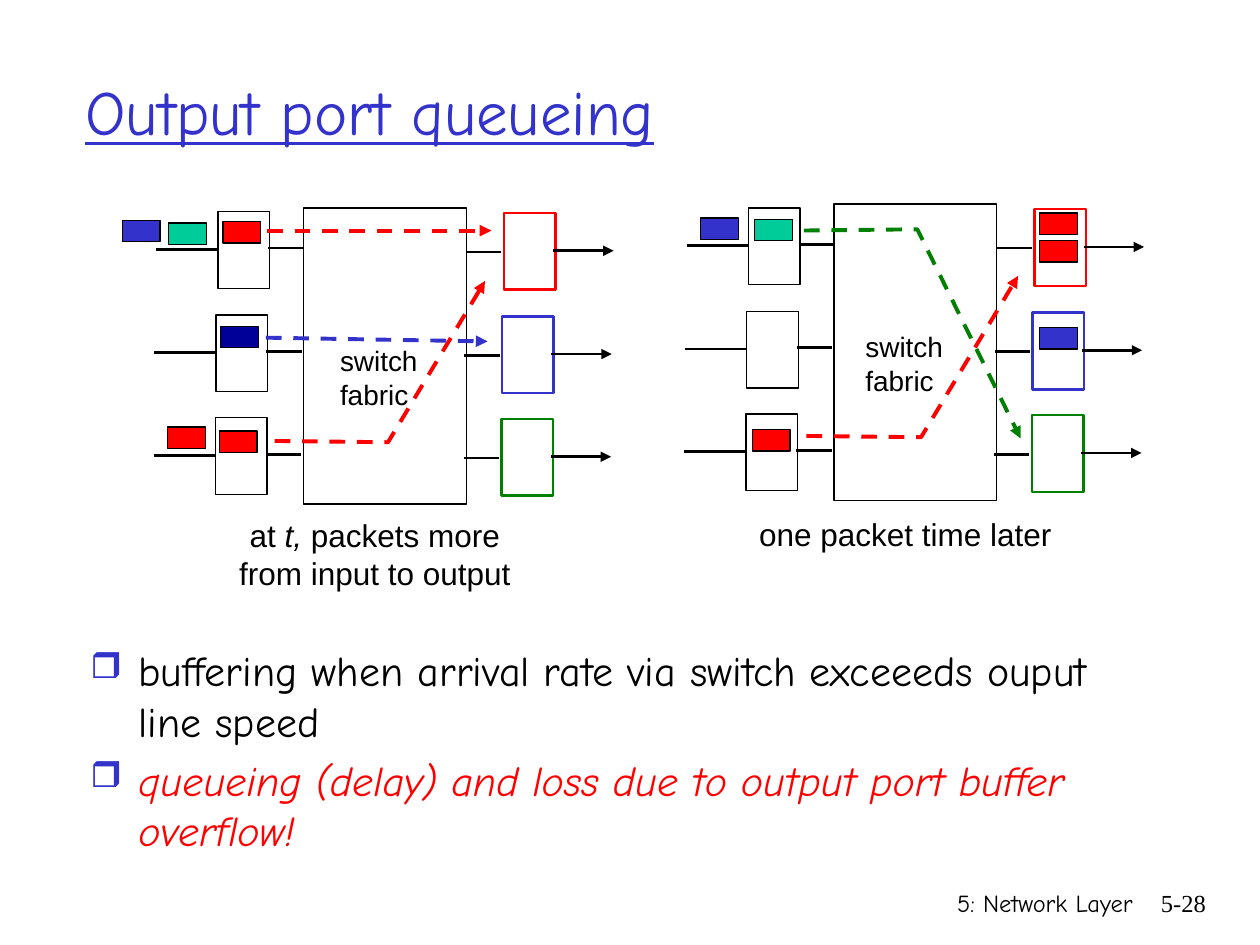
from dataclasses import dataclass

import pptx
import pptx.dml.color
import pptx.enum.dml
import pptx.enum.shapes
import pptx.enum.text
import pptx.oxml.ns
import pptx.util
from lxml import etree

ALIGN = pptx.enum.text.PP_ALIGN
Point = tuple[float, float]

# Slide grid: 100 columns by 75 rows
WIDTH, HEIGHT = pptx.util.Inches(10), pptx.util.Inches(7.5)
COLUMN, ROW = WIDTH / 100, HEIGHT / 75


@dataclass(frozen=True)
class Theme:
    black: str = "000000"
    white: str = "FFFFFF"
    blue: str = "3333CC"
    navy: str = "000099"
    red: str = "FF0000"
    green: str = "008000"
    teal: str = "00CC99"
    hand: str = "Comic Neue"
    sans: str = "Arial"
    serif: str = "Times New Roman"
    title: float = 36
    body: float = 24
    caption: float = 18
    label: float = 16
    footer: float = 14
    thin: float = 0.75
    wire: float = 1.5
    flow: float = 2.25


THEME = Theme()


@dataclass(frozen=True)
class Run:
    text: str
    italic: bool = False
    color: str = THEME.black


@dataclass(frozen=True)
class Packet:
    at: Point
    color: str


@dataclass(frozen=True)
class Flow:
    points: list[Point]
    color: str


@dataclass(frozen=True)
class Switch:
    """One switch; every place inside it is counted from the fabric's corner."""
    corner: Point
    packets: list[Packet]
    flows: list[Flow]
    label: Point
    caption: Point
    caption_rows: float
    caption_lines: list[list[Run]]


# Ports: (shift in columns, shift in rows, output colour)
PORTS = [(0, 0, THEME.red), (-0.15, 8.2, THEME.blue), (-0.2, 16.35, THEME.green)]
# Wires of the first port: (start column, end column, row, arrow)
WIRES = [(12.9, 15.7, 3.5, False), (-2.8, 0, 3.2, False),
         (-11.7, -6.8, 3.3, False), (19.8, 24.6, 3.4, True)]
FABRIC_SIZE, PORT_SIZE, PACKET_SIZE = (12.9, 23.5), (4.1, 6.1), (3, 1.7)
INPUT, OUTPUT = (-6.8, 0.3), (15.9, 0.4)

SWITCHES = [
    Switch(
        corner=(24.1, 16.5),
        packets=[Packet((-6.4, 1.1), THEME.red), Packet((-6.6, 9.4), THEME.navy),
                 Packet((-6.7, 17.7), THEME.red), Packet((-10.7, 1.2), THEME.teal),
                 Packet((-10.8, 17.4), THEME.red), Packet((-14.4, 1), THEME.blue)],
        flows=[Flow([(-2.9, 1.8), (14.9, 1.8)], THEME.red),
               Flow([(-2.3, 18.5), (6.7, 18.6), (14.4, 5.8)], THEME.red),
               Flow([(-3, 10.3), (14.6, 10.6)], THEME.blue)],
        label=(1.9, 10.3), caption=(-7.8, 24), caption_rows=7,
        caption_lines=[[Run("at "), Run("t,", italic=True), Run(" packets more")],
                       [Run("from input to output")]]),
    Switch(
        corner=(66.2, 16.2),
        packets=[Packet((16.3, 0.7), THEME.red), Packet((16.3, 9.8), THEME.blue),
                 Packet((16.3, 2.9), THEME.red), Packet((-6.3, 1.2), THEME.teal),
                 Packet((-6.5, 17.9), THEME.red), Packet((-10.6, 1.1), THEME.blue)],
        flows=[Flow([(-2.2, 18.4), (6.9, 18.5), (14.6, 5.7)], THEME.red),
               Flow([(-2.4, 2.1), (6.6, 2), (14.8, 18.6)], THEME.green)],
        label=(1.5, 9.5), caption=(-7.8, 24.2), caption_rows=4,
        caption_lines=[[Run("one packet time later")]]),
]

BULLETS = [
    [Run("buffering when arrival rate via switch exceeeds ouput line speed")],
    [Run("queueing (delay) and loss due to output port buffer overflow!",
         italic=True, color=THEME.red)],
]


def rgb(color: str) -> pptx.dml.color.RGBColor:
    return pptx.dml.color.RGBColor.from_string(color)


def emu(point: Point) -> tuple[int, int]:
    return round(point[0] * COLUMN), round(point[1] * ROW)


def shift(origin: Point, offset: Point) -> Point:
    return origin[0] + offset[0], origin[1] + offset[1]


def draw_box(slide, at: Point, size: Point, fill: str, line: str, weight: float) -> None:
    box = slide.shapes.add_shape(pptx.enum.shapes.MSO_SHAPE.RECTANGLE, *emu(at), *emu(size))
    box.shadow.inherit = False
    box.fill.solid()
    box.fill.fore_color.rgb = rgb(fill)
    box.line.color.rgb = rgb(line)
    box.line.width = pptx.util.Pt(weight)


def draw_line(slide, points: list[Point], color: str, weight: float,
              arrow: bool = False, dashed: bool = False) -> None:
    """A straight line is a connector, a bent one an open freeform."""
    start, *rest = [emu(point) for point in points]
    if len(rest) == 1:
        line = slide.shapes.add_connector(
            pptx.enum.shapes.MSO_CONNECTOR.STRAIGHT, *start, *rest[0])
    else:
        builder = slide.shapes.build_freeform(*start)
        builder.add_line_segments(rest, close=False)
        line = builder.convert_to_shape()
        line.fill.background()
    line.line.color.rgb = rgb(color)
    line.line.width = pptx.util.Pt(weight)
    if dashed:
        line.line.dash_style = pptx.enum.dml.MSO_LINE.DASH
    if arrow:
        tail = etree.SubElement(line.line._get_or_add_ln(), pptx.oxml.ns.qn("a:tailEnd"))
        tail.set("type", "triangle")
    etree.SubElement(line.element.spPr, pptx.oxml.ns.qn("a:effectLst"))


def draw_text(slide, at: Point, size: Point, lines: list[list[Run]], font: str,
              points: float, align=ALIGN.LEFT, wrap: bool = True):
    frame = slide.shapes.add_textbox(*emu(at), *emu(size)).text_frame
    frame.word_wrap = wrap
    for index, runs in enumerate(lines):
        paragraph = frame.paragraphs[0] if index == 0 else frame.add_paragraph()
        paragraph.alignment = align
        for part in runs:
            run = paragraph.add_run()
            run.text = part.text
            run.font.name, run.font.size = font, pptx.util.Pt(points)
            run.font.italic = part.italic
            run.font.color.rgb = rgb(part.color)
    return frame


def add_bullet(paragraph) -> None:
    properties = paragraph._p.get_or_add_pPr()
    indent = pptx.util.Inches(0.38)
    properties.set("marL", str(indent))
    properties.set("indent", str(-indent))
    color = etree.SubElement(properties, pptx.oxml.ns.qn("a:buClr"))
    etree.SubElement(color, pptx.oxml.ns.qn("a:srgbClr")).set("val", THEME.blue)
    etree.SubElement(properties, pptx.oxml.ns.qn("a:buSzPct")).set("val", "85000")
    etree.SubElement(properties, pptx.oxml.ns.qn("a:buChar")).set("char", "❒")


def draw_switch(slide, switch: Switch) -> None:
    corner = switch.corner
    draw_box(slide, corner, FABRIC_SIZE, THEME.white, THEME.black, THEME.thin)
    # Ports with their wires
    for across, down, color in PORTS:
        port = shift(corner, (across, down))
        draw_box(slide, shift(port, INPUT), PORT_SIZE, THEME.white, THEME.black, THEME.thin)
        draw_box(slide, shift(port, OUTPUT), PORT_SIZE, THEME.white, color, THEME.wire)
        for start, end, row, arrow in WIRES:
            ends = [shift(port, (start, row)), shift(port, (end, row))]
            draw_line(slide, ends, THEME.black, THEME.wire, arrow)
    # Packets and the ways they take
    for packet in switch.packets:
        draw_box(slide, shift(corner, packet.at), PACKET_SIZE, packet.color,
                 THEME.black, THEME.thin)
    for flow in switch.flows:
        draw_line(slide, [shift(corner, point) for point in flow.points], flow.color,
                  THEME.flow, arrow=True, dashed=True)
    # Label and caption
    draw_text(slide, shift(corner, switch.label), (8.2, 6.4),
              [[Run("switch")], [Run("fabric")]], THEME.sans, THEME.label, wrap=False)
    draw_text(slide, shift(corner, switch.caption), (26.9, switch.caption_rows),
              switch.caption_lines, THEME.sans, THEME.caption, ALIGN.CENTER)


def main() -> None:
    deck = pptx.Presentation()
    deck.slide_width, deck.slide_height = WIDTH, HEIGHT
    slide = deck.slides.add_slide(deck.slide_layouts[6])

    # Title
    title = draw_text(slide, (5.8, 2.5), (85, 12.5),
                      [[Run("Output port queueing", color=THEME.blue)]],
                      THEME.hand, THEME.title)
    title.vertical_anchor = pptx.enum.text.MSO_ANCHOR.MIDDLE
    title.paragraphs[0].runs[0].font.underline = True

    # Bullets
    body = draw_text(slide, (6.2, 50.7), (85, 13), BULLETS, THEME.hand, THEME.body)
    for paragraph in body.paragraphs:
        add_bullet(paragraph)
    body.paragraphs[1].space_before = pptx.util.Pt(0.2 * THEME.body)

    # The two moments in time
    for switch in SWITCHES:
        draw_switch(slide, switch)

    # Footer
    draw_text(slide, (59.2, 70), (31.7, 5), [[Run("5: Network Layer")]],
              THEME.hand, THEME.footer, ALIGN.RIGHT)
    draw_text(slide, (89.3, 70), (7.4, 5), [[Run("5-28")]],
              THEME.serif, THEME.footer, ALIGN.RIGHT)
    deck.save("out.pptx")


if __name__ == "__main__":
    main()
